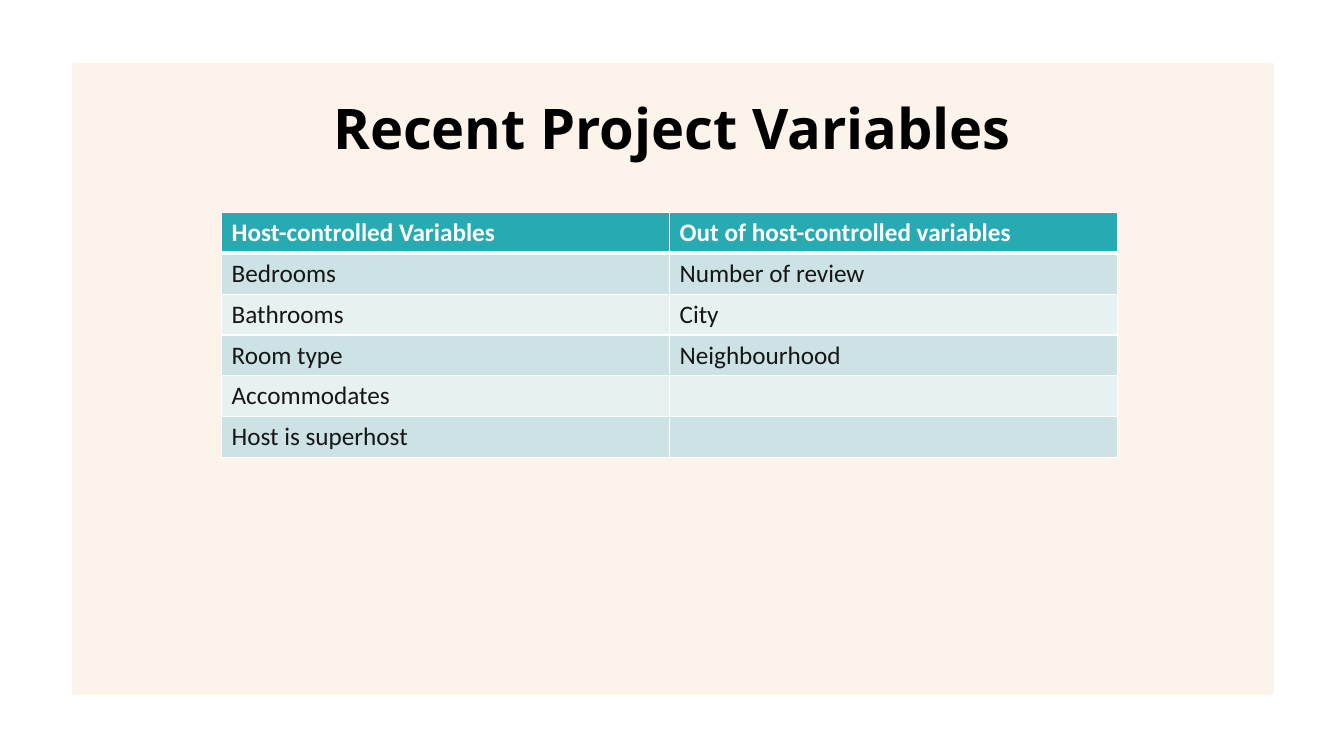
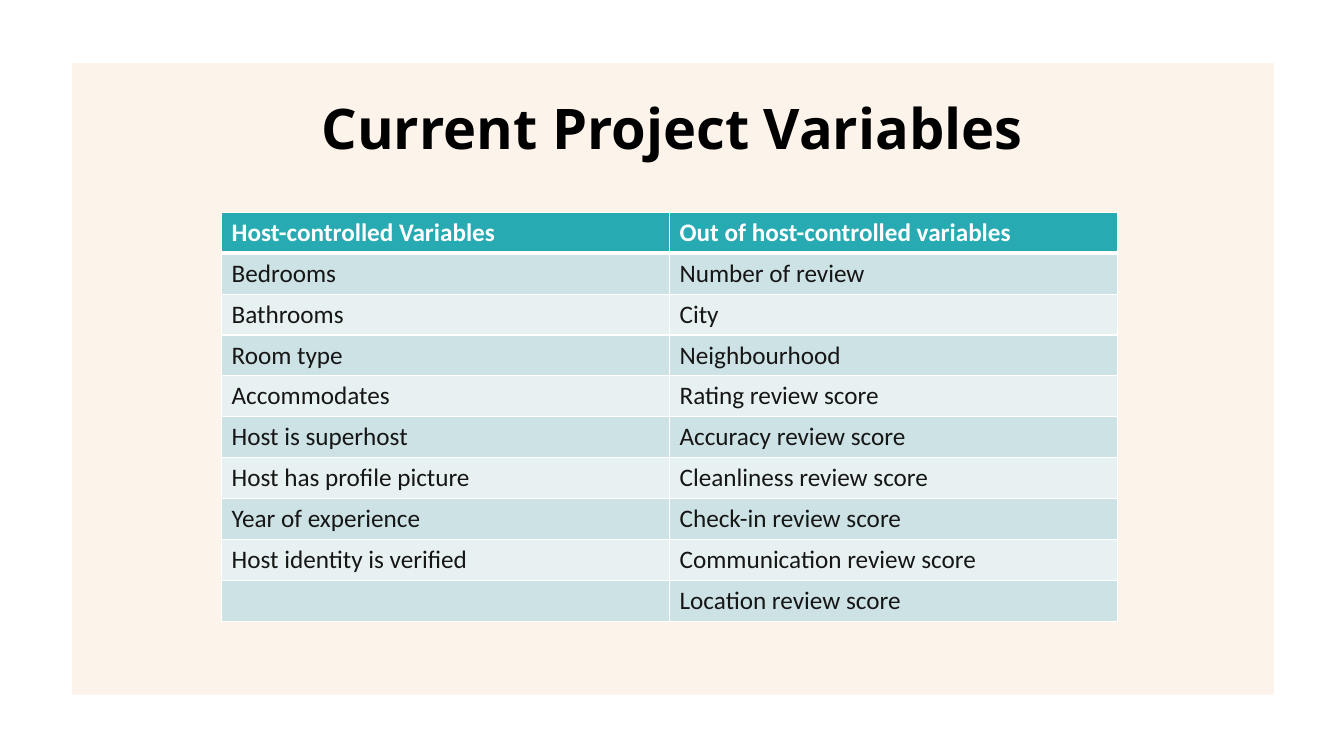
from itertools import zip_longest

from lxml import etree
from pptx import Presentation
from pptx import util as u
from pptx.dml.color import RGBColor
from pptx.enum import shapes, text
from pptx.oxml.ns import qn

COLUMNS, ROWS = 160, 90  # grid of the slide
UNIT = u.Inches(1) / 12

WHITE, BLACK, INK = "FFFFFF", "000000", "161616"
CREAM, TEAL = "FCF4EB", "28AAB3"
BANDS = ("CDE2E5", "E8F1F2")
TITLE_FONT, TABLE_FONT = "Open Sans", "Calibri"

PANEL = (8.55, 7.5, 143.1, 75.2)
TITLE = (8.2, 10.5, 143.6, 9.25)
TABLE_LEFT, TABLE_TOP = 26.38, 25.28
COLUMN_WIDTH, ROW_HEIGHT = 53.33, 4.87

HEADINGS = ("Host-controlled Variables", "Out of host-controlled variables")
HOST = ["Bedrooms", "Bathrooms", "Room type", "Accommodates", "Host is superhost"]
OTHER = ["Number of review", "City", "Neighbourhood"]
SLIDES = [
    ("Recent Project Variables", HOST, OTHER),
    (
        "Current Project Variables",
        HOST + ["Host has profile picture", "Year of experience",
                "Host identity is verified"],
        OTHER + [f"{topic} review score" for topic in (
            "Rating", "Accuracy", "Cleanliness", "Check-in",
            "Communication", "Location")],
    ),
]


def grid(*counts):
    """Turn counts of grid columns or rows into lengths."""
    return [u.Emu(round(count * UNIT)) for count in counts]


def paint(fill, color):
    fill.solid()
    fill.fore_color.rgb = RGBColor.from_string(color)


def format_text(frame, font, size, color, bold):
    for para in frame.paragraphs:
        for span in para.runs:
            span.font.name = font
            span.font.size = u.Pt(size)
            span.font.bold = bold
            span.font.color.rgb = RGBColor.from_string(color)


def draw_borders(cell, top, bottom):
    """Give a cell white edges; top and bottom are widths in points."""
    properties = cell._tc.get_or_add_tcPr()
    for side, width in (("L", 1), ("R", 1), ("T", top), ("B", bottom)):
        line = etree.SubElement(properties, qn(f"a:ln{side}"), w=str(u.Pt(width)))
        fill = etree.SubElement(line, qn("a:solidFill"))
        etree.SubElement(fill, qn("a:srgbClr"), val=WHITE)


class Deck:
    def __init__(self):
        self.deck = Presentation()
        self.deck.slide_width, self.deck.slide_height = grid(COLUMNS, ROWS)
        self.layout = self.deck.slide_layouts.get_by_name("Title Only")
        self.slide = None

    def add_slide(self, title):
        self.slide = self.deck.slides.add_slide(self.layout)
        self.add_panel()
        self.add_title(title)

    def add_panel(self):
        """Draw the cream panel behind everything else on the slide."""
        panel = self.slide.shapes.add_shape(
            shapes.MSO_SHAPE.RECTANGLE, *grid(*PANEL))
        panel.shadow.inherit = False
        paint(panel.fill, CREAM)
        panel.line.fill.background()
        self.slide.shapes.element.insert(2, panel.element)

    def add_title(self, wording):
        box = self.slide.shapes.title
        box.left, box.top, box.width, box.height = grid(*TITLE)
        frame = box.text_frame
        frame.text = wording
        frame.word_wrap = True
        frame.vertical_anchor = text.MSO_ANCHOR.MIDDLE
        frame.margin_top = frame.margin_bottom = 0
        frame.paragraphs[0].alignment = text.PP_ALIGN.CENTER
        format_text(frame, TITLE_FONT, 40, BLACK, True)

    def add_table(self, headings, *columns):
        rows = [headings, *zip_longest(*columns, fillvalue="")]
        size = (COLUMN_WIDTH * len(headings), ROW_HEIGHT * len(rows))
        table = self.slide.shapes.add_table(
            len(rows), len(headings), *grid(TABLE_LEFT, TABLE_TOP, *size)).table
        for row_index, row in enumerate(rows):
            header = row_index == 0
            for column_index, wording in enumerate(row):
                cell = table.cell(row_index, column_index)
                if wording:
                    cell.text = wording
                    format_text(cell.text_frame, TABLE_FONT, 18,
                                WHITE if header else INK, header)
                draw_borders(cell, 3 if row_index == 1 else 1, 3 if header else 1)
                paint(cell.fill, TEAL if header else BANDS[(row_index - 1) % 2])

    def save(self):
        self.deck.save("out.pptx")


def main():
    deck = Deck()
    for title, host, other in SLIDES:
        deck.add_slide(title)
        deck.add_table(HEADINGS, host, other)
    deck.save()


if __name__ == "__main__":
    main()
